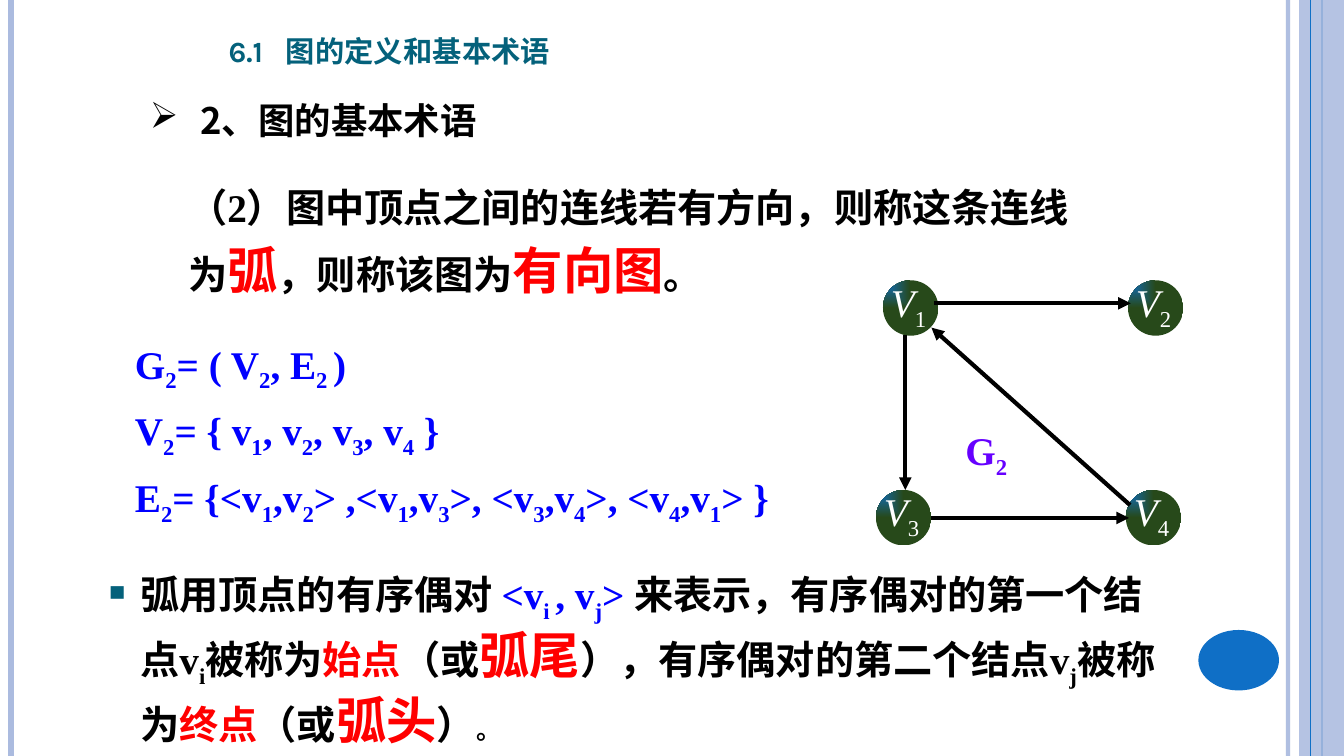
from dataclasses import dataclass

from lxml import etree
from pptx import Presentation
from pptx.dml.color import RGBColor
from pptx.enum.shapes import MSO_CONNECTOR, MSO_SHAPE
from pptx.enum.text import MSO_ANCHOR, PP_ALIGN
from pptx.oxml.ns import qn
from pptx.util import Pt

STRAIGHT = MSO_CONNECTOR.STRAIGHT
RECTANGLE, OVAL = MSO_SHAPE.RECTANGLE, MSO_SHAPE.OVAL
BOTTOM = MSO_ANCHOR.BOTTOM
CENTER, JUSTIFY = PP_ALIGN.CENTER, PP_ALIGN.JUSTIFY


@dataclass(frozen=True)
class Theme:
    black: str = "000000"
    white: str = "FFFFFF"
    red: str = "FF0000"
    formula: str = "0000FF"
    graph_name: str = "6600FF"
    teal: str = "04617B"
    accent: str = "0F6FC6"
    pale: str = "ABBBDF"
    vertex: str = "27491A"
    title_size: float = 26.2
    heading_size: float = 26
    body_size: float = 28
    key_size: float = 36
    stop_size: float = 18
    title_font: str = "Karla"
    heading_font: str = "Noto Sans CJK SC"
    body_font: str = "Times New Roman"
    asian_font: str = "Noto Sans CJK SC"


THEME = Theme()
SLIDE_WIDTH, SLIDE_HEIGHT = 960, 540


def add_alpha(element, percent):
    for color in element.iter(qn("a:srgbClr")):
        etree.SubElement(color, qn("a:alpha"), val=str(percent * 1000))


def add_line(slide, start, end, color, width, arrow=False):
    line = slide.shapes.add_connector(STRAIGHT, *map(Pt, (*start, *end)))
    line.line.color.rgb = RGBColor.from_string(color)
    line.line.width = Pt(width)
    properties = line._element.spPr
    if arrow:
        etree.SubElement(properties.find(qn("a:ln")), qn("a:tailEnd"), type="triangle")
    etree.SubElement(properties, qn("a:effectLst"))
    return line


def add_block(slide, kind, box, color):
    block = slide.shapes.add_shape(kind, *map(Pt, box))
    block.shadow.inherit = False
    block.fill.solid()
    block.fill.fore_color.rgb = RGBColor.from_string(color)
    block.line.fill.background()
    return block


def add_frame(slide, box, wrap=True):
    frame = slide.shapes.add_textbox(*map(Pt, box)).text_frame
    frame.word_wrap = wrap
    return frame


def add_runs(paragraph, marked, color=THEME.black, size=THEME.body_size,
             font=THEME.body_font, bold=True, italic=False):
    """Add runs; every second part between bars is a subscript."""
    for index, part in enumerate(marked.split("|")):
        if not part:
            continue
        run = paragraph.add_run()
        run.text = part
        run.font.size = Pt(size)
        run.font.bold = bold
        run.font.italic = italic and index % 2 == 0
        run.font.color.rgb = RGBColor.from_string(color)
        run.font.name = font
        properties = run._r.get_or_add_rPr()
        etree.SubElement(properties, qn("a:ea"), typeface=THEME.asian_font)
        if index % 2:
            properties.set("baseline", "-25000")


def set_bullet(paragraph, character, indent, color):
    properties = paragraph._p.get_or_add_pPr()
    properties.set("marL", str(Pt(indent)))
    properties.set("indent", str(-Pt(indent)))
    bullet_color = etree.SubElement(properties, qn("a:buClr"))
    etree.SubElement(bullet_color, qn("a:srgbClr"), val=color)
    etree.SubElement(properties, qn("a:buChar"), char=character)


def draw_borders(slide):
    def rule(x, color, width):
        return add_line(slide, (x, 0), (x, SLIDE_HEIGHT), color, width)

    add_alpha(rule(920, THEME.pale, 3)._element, 93)
    rule(8, THEME.pale, 4.5)
    rule(944, THEME.accent, 1.5)
    band = add_block(slide, RECTANGLE, (928, 0, 32, SLIDE_HEIGHT), THEME.pale)
    add_alpha(band._element.spPr, 87)
    rule(936, THEME.accent, 0.75)
    add_block(slide, OVAL, (856, 450, 57.6, 43.2), THEME.accent)


def draw_title(slide, box):
    frame = add_frame(slide, box)
    frame.vertical_anchor = BOTTOM
    title = frame.paragraphs[0]
    tabs = etree.SubElement(title._p.get_or_add_pPr(), qn("a:tabLst"))
    etree.SubElement(tabs, qn("a:tab"), pos=str(Pt(41)), algn="l")
    add_runs(title, "6.1\t图的定义和基本术语", THEME.teal, THEME.title_size, THEME.title_font)
    for run in title.runs:
        run._r.get_or_add_rPr().set("cap", "small")


def draw_heading(slide, box):
    heading = add_frame(slide, box).paragraphs[0]
    set_bullet(heading, "➢", 36, THEME.black)
    heading.line_spacing = 1.2
    add_runs(heading, "2、图的基本术语", size=THEME.heading_size, font=THEME.heading_font)


def draw_definition(slide, box):
    definition = add_frame(slide, box).paragraphs[0]
    definition.line_spacing = 1.15
    add_runs(definition, "（2）图中顶点之间的连线若有方向，则称这条连线为")
    add_runs(definition, "弧", THEME.red, THEME.key_size)
    add_runs(definition, "，则称该图为")
    add_runs(definition, "有向图", THEME.red, THEME.key_size)
    add_runs(definition, "。")


def draw_formulas(slide, box):
    frame = add_frame(slide, box)
    formulas = (
        "G|2|= ( V|2|, E|2 |)",
        "V|2|= { v|1|, v|2|, v|3|, v|4| }",
        "E|2|= {<v|1|,v|2|> ,<v|1|,v|3|>, <v|3|,v|4|>, <v|4|,v|1|> }",
    )
    for index, formula in enumerate(formulas):
        line = frame.add_paragraph() if index else frame.paragraphs[0]
        line.line_spacing = 1.25
        add_runs(line, formula, THEME.formula)


def draw_explanation(slide, box):
    explanation = add_frame(slide, box).paragraphs[0]
    set_bullet(explanation, "▪", 27, THEME.teal)
    add_runs(explanation, "弧用顶点的有序偶对 ")
    add_runs(explanation, "<v|i |, v|j|> ", THEME.formula)
    add_runs(explanation, "来表示，有序偶对的第一个结点v|i|被称为")
    add_runs(explanation, "始点", THEME.red)
    add_runs(explanation, "（或")
    add_runs(explanation, "弧尾", THEME.red, THEME.key_size)
    add_runs(explanation, "），有序偶对的第二个结点v|j|被称为")
    add_runs(explanation, "终点", THEME.red)
    add_runs(explanation, "（或")
    add_runs(explanation, "弧头", THEME.red, THEME.key_size)
    add_runs(explanation, "）")
    add_runs(explanation, "。", size=THEME.stop_size)


def draw_vertex(slide, x, y, number):
    disc = add_block(slide, OVAL, (x, y, 39.6, 39.6), THEME.vertex)
    disc.fill.gradient()
    for stop, color in zip(disc.fill.gradient_stops, (THEME.accent, THEME.vertex)):
        stop.color.rgb = RGBColor.from_string(color)
    gradient = disc._element.spPr.find(qn("a:gradFill"))
    gradient.remove(gradient.find(qn("a:lin")))
    shade = etree.SubElement(gradient, qn("a:path"), {"path": "rect"})
    etree.SubElement(shade, qn("a:fillToRect"), r="100000", b="100000")

    frame = add_frame(slide, (x + 5, y - 3.8, 36.7, 46.8))
    frame.margin_left, frame.margin_top = Pt(0.7), Pt(2.2)
    frame.margin_right, frame.margin_bottom = Pt(0), Pt(0.7)
    label = frame.paragraphs[0]
    label.alignment = JUSTIFY
    add_runs(label, f"V|{number}|", THEME.white, bold=False, italic=True)


def draw_graph(slide, box):
    left, top, width, height = box
    right, bottom = left + width - 39.6, top + height - 39.6
    vertices = {1: (left + 5, top), 2: (right, top),
                3: (left, bottom), 4: (right - 1.5, bottom)}
    # Each arc: from, to, and where it touches the two vertices
    arcs = ((1, 2, (36.7, 16.5), (2, 16.5)),
            (1, 3, (16, 39), (21, 0)),
            (4, 1, (3, 10.8), (34.6, 33.8)),
            (3, 4, (39.6, 20), (2.2, 20)))

    name = add_frame(slide, (left + 56.1, top + 100.8, 45.4, 41), wrap=False).paragraphs[0]
    name.alignment = CENTER
    add_runs(name, "G|2|", THEME.graph_name)
    for number, (x, y) in vertices.items():
        draw_vertex(slide, x, y, number)
    for tail, head, tail_offset, head_offset in arcs:
        start = [a + b for a, b in zip(vertices[tail], tail_offset)]
        end = [a + b for a, b in zip(vertices[head], head_offset)]
        add_line(slide, start, end, THEME.black, 3, arrow=True)


def main():
    deck = Presentation()
    deck.slide_width, deck.slide_height = Pt(SLIDE_WIDTH), Pt(SLIDE_HEIGHT)
    slide = deck.slides.add_slide(deck.slide_layouts[6])
    draw_borders(slide)
    draw_title(slide, (156.2, 9.4, 321, 44))
    draw_heading(slide, (100, 60.5, 777, 44.6))
    draw_definition(slide, (127.4, 122.4, 653.8, 90.7))
    draw_formulas(slide, (89.3, 229.7, 511, 134.6))
    draw_explanation(slide, (66.2, 404, 777.6, 128))
    draw_graph(slide, (625.7, 200.2, 219.6, 189.4))
    deck.save("out.pptx")


if __name__ == "__main__":
    main()
